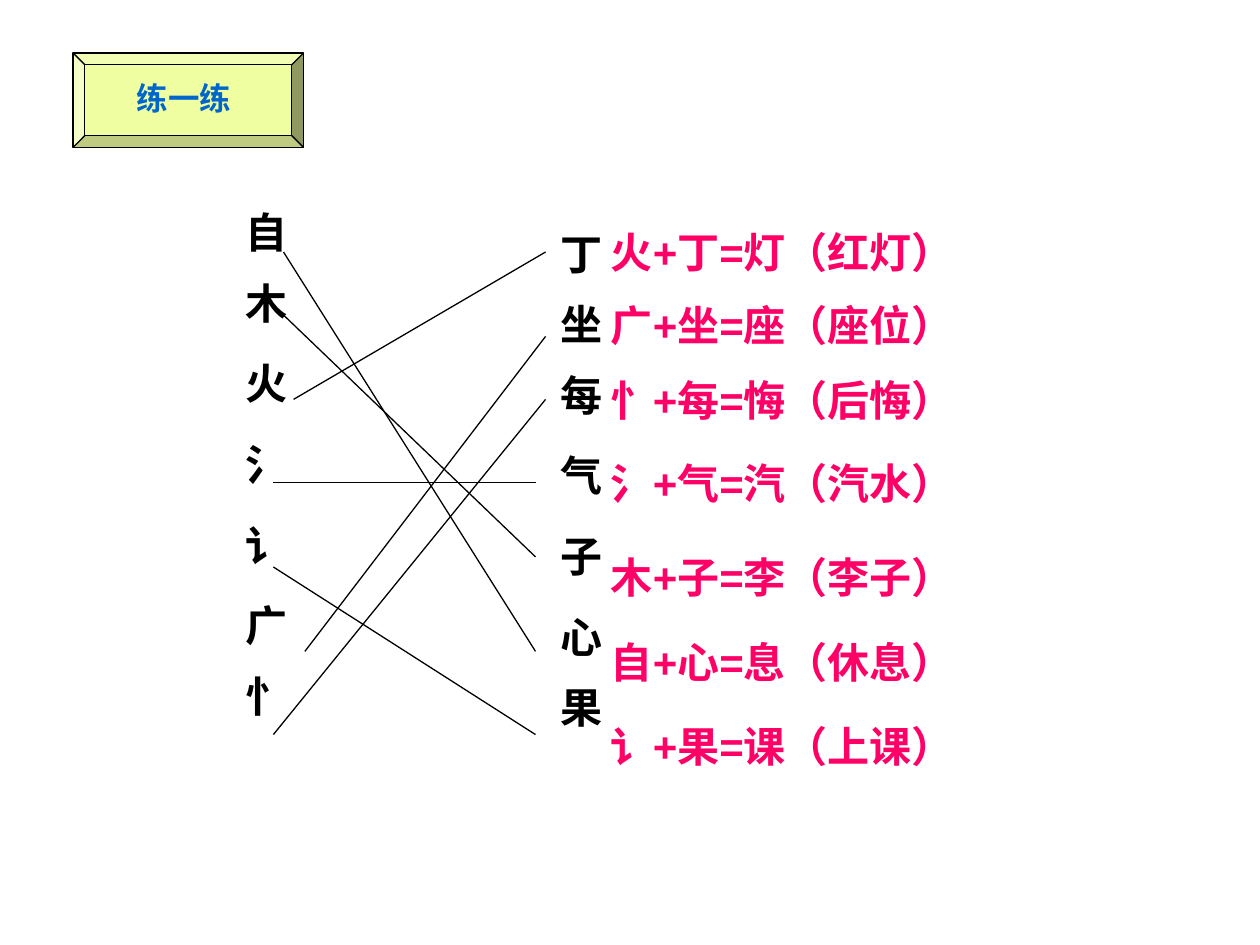
from itertools import accumulate
from typing import NamedTuple

import pptx
from pptx import util as u
from pptx.dml import color
from pptx.enum import shapes, text
from pptx.oxml import ns, xmlchemy

BLACK, PINK, BLUE, LIME = "000000", "FF0066", "0066CC", "EEFEA0"
NARROW, WIDE = 0.56, 0.64


class Column(NamedTuple):
    left: float
    top: float
    characters: str
    steps: tuple[float, ...]


class Match(NamedTuple):
    start: tuple[float, float]
    end: tuple[float, float]


class Equation(NamedTuple):
    top: float
    wording: str


COLUMNS = [
    Column(1.75, 1.58, "自木火氵讠广忄", (NARROW, WIDE, WIDE, WIDE, WIDE, NARROW)),
    Column(4.25, 1.75, "丁坐每气子心果", (NARROW, NARROW, WIDE, WIDE, WIDE, NARROW)),
]
MATCHES = [
    Match((2.25, 2), (4.25, 5.17)),
    Match((2.25, 2.5), (4.25, 4.42)),
    Match((2.33, 3.17), (4.33, 2)),
    Match((2.17, 5.83), (4.33, 3.17)),
    Match((2.17, 3.83), (4.25, 3.83)),
    Match((2.17, 4.5), (4.25, 5.83)),
    Match((2.42, 5.17), (4.33, 2.67)),
]
EQUATIONS = [
    Equation(1.75, "火+丁=灯（红灯）"),
    Equation(2.33, "广+坐=座（座位）"),
    Equation(2.92, "忄+每=悔（后悔）"),
    Equation(3.58, "氵+气=汽（汽水）"),
    Equation(4.33, "木+子=李（李子）"),
    Equation(5, "自+心=息（休息）"),
    Equation(5.67, "讠+果=课（上课）"),
]


def rgb(value: str) -> color.RGBColor:
    return color.RGBColor.from_string(value)


def add_text(parent, box: tuple[float, ...], wording: str, hue: str,
             size: int = 24, font: str = "Arial", **frame_format):
    shape = parent.add_textbox(*map(u.Inches, box))
    settings = {"word_wrap": True, "auto_size": text.MSO_AUTO_SIZE.SHAPE_TO_FIT_TEXT}
    for name, value in (settings | frame_format).items():
        setattr(shape.text_frame, name, value)
    run = shape.text_frame.paragraphs[0].add_run()
    run.text = wording
    for name, value in {"name": font, "size": u.Pt(size), "bold": True}.items():
        setattr(run.font, name, value)
    run.font.color.rgb = rgb(hue)
    return shape


def add_title(slide) -> None:
    group = slide.shapes.add_group_shape()
    plate = group.shapes.add_shape(
        shapes.MSO_SHAPE.BEVEL, *map(u.Inches, (0.58, 0.42, 1.83, 0.75)))
    plate.shadow.inherit = False
    plate.fill.solid()
    plate.fill.fore_color.rgb = rgb(LIME)
    plate.line.color.rgb = rgb(BLACK)
    plate.line.width = u.Pt(0.75)
    title = add_text(group.shapes, (0.75, 0.58, 1.42, 0.42), "练一练", BLUE, 18,
                     "Noto Sans CJK JP", word_wrap=False,
                     auto_size=text.MSO_AUTO_SIZE.NONE)
    title.text_frame.paragraphs[0].alignment = text.PP_ALIGN.CENTER


def add_column(slide, column: Column) -> None:
    margins = {"margin_left": u.Inches(0.05), "margin_right": u.Inches(0.05),
               "margin_top": u.Inches(0.1), "margin_bottom": u.Inches(0.1)}
    shape = add_text(slide.shapes, (column.left, column.top, 0.6, 5),
                     "\t".join(column.characters), BLACK, **margins)
    shape.text_frame._txBody.bodyPr.set("vert", "eaVert")
    properties = shape.text_frame.paragraphs[0]._p.get_or_add_pPr()
    stops = xmlchemy.OxmlElement("a:tabLst")
    for position in accumulate(column.steps):
        stop = xmlchemy.OxmlElement("a:tab")
        stop.set("pos", str(u.Inches(position)))
        stop.set("algn", "l")
        stops.append(stop)
    properties.append(stops)


def add_match(slide, match: Match) -> None:
    line = slide.shapes.add_connector(
        shapes.MSO_CONNECTOR.STRAIGHT, *map(u.Inches, match.start + match.end))
    line.line.color.rgb = rgb(BLACK)
    line.line.width = u.Pt(0.75)
    line._element.find(ns.qn("p:spPr")).append(xmlchemy.OxmlElement("a:effectLst"))


def main() -> None:
    """Build the exercise on joining character components."""
    presentation = pptx.Presentation()
    presentation.slide_width, presentation.slide_height = u.Inches(10), u.Inches(7.5)
    slide = presentation.slides.add_slide(presentation.slide_layouts[6])
    add_title(slide)
    for column in COLUMNS:
        add_column(slide, column)
    for match in MATCHES:
        add_match(slide, match)
    for equation in EQUATIONS:
        add_text(slide.shapes, (4.75, equation.top, 3.58, 0.5), equation.wording, PINK)
    presentation.save("out.pptx")


if __name__ == "__main__":
    main()
